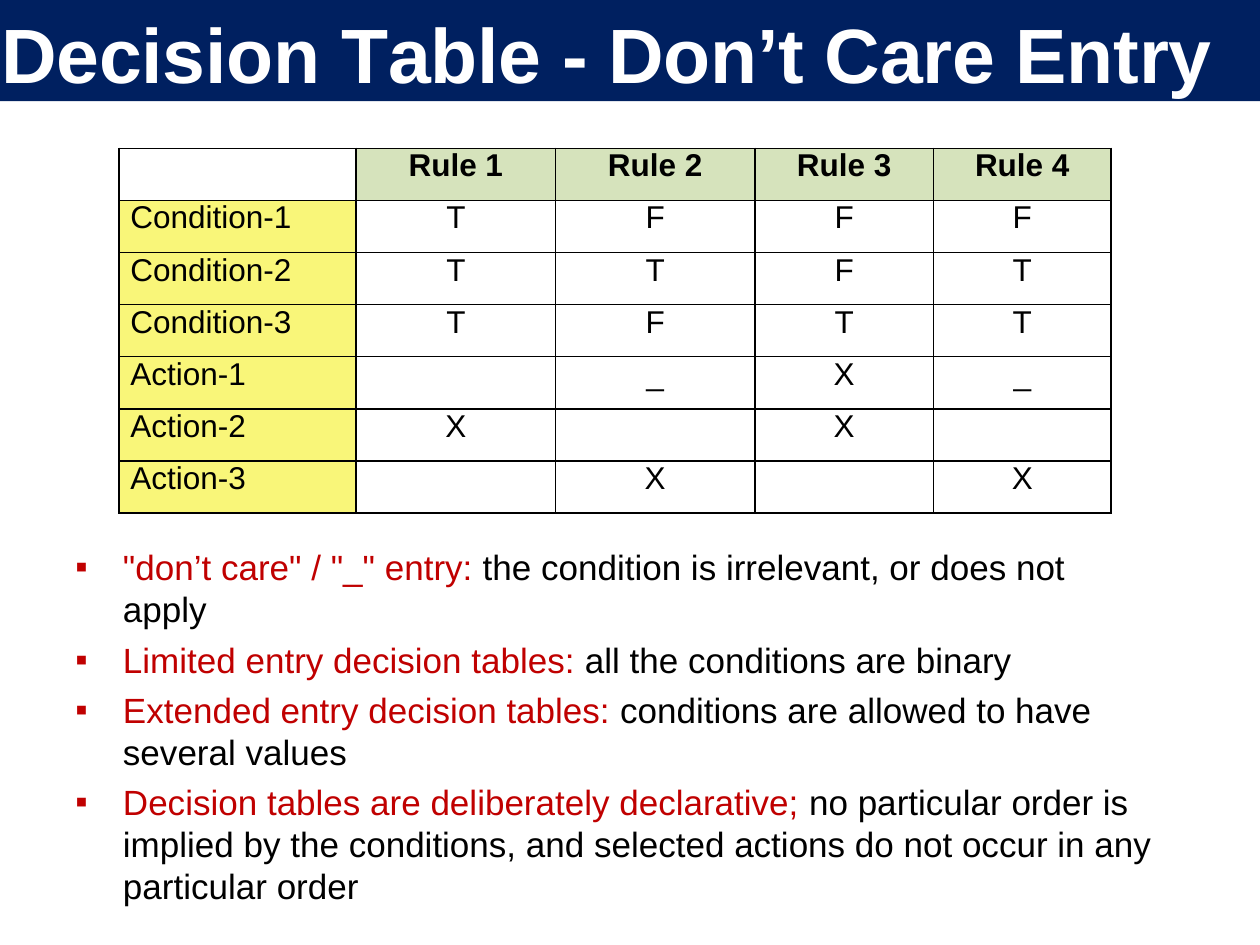
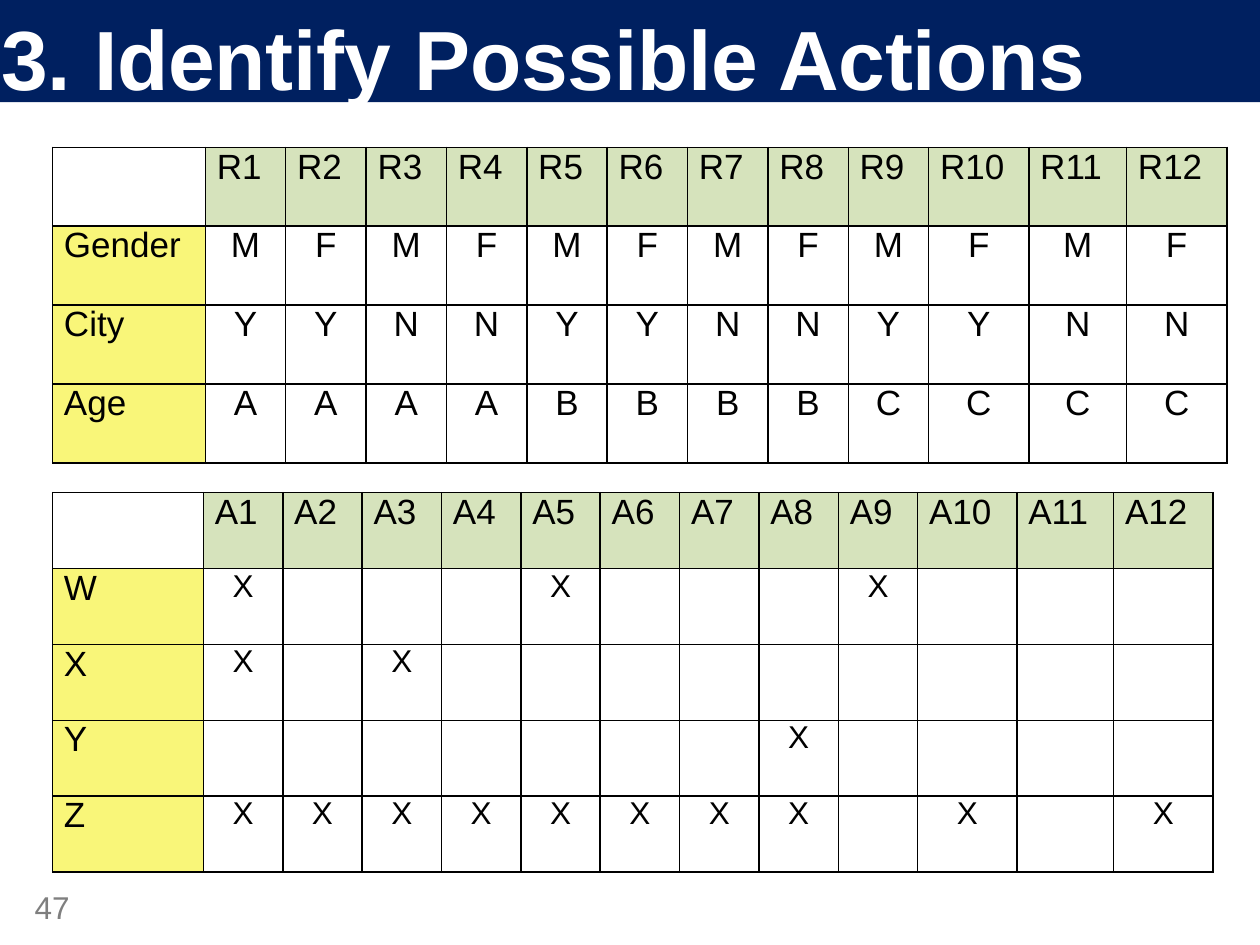
from lxml import etree
from pptx import Presentation
from pptx import util as u
from pptx.dml.color import RGBColor
from pptx.enum import shapes, text
from pptx.oxml import ns

NAVY = RGBColor(0x00, 0x20, 0x60)
WHITE = RGBColor(0xFF, 0xFF, 0xFF)
BLACK = RGBColor(0x00, 0x00, 0x00)
RED = RGBColor(0xC0, 0x00, 0x00)
GREY = RGBColor(0x7F, 0x7F, 0x7F)
GREEN = RGBColor(0xD6, 0xE3, 0xBC)
YELLOW = RGBColor(0xF9, 0xF6, 0x79)
FONT = "Arial"
LABEL_INDENT = u.Cm(0.23)

deck = Presentation()
deck.slide_width, deck.slide_height = u.Cm(25.4), u.Cm(19.05)


def add_titled_slide(title_parts, size, band_height):
    """Add a slide with its title band; each title part is (text, spacing in 1/100 pt)."""
    slide = deck.slides.add_slide(deck.slide_layouts[6])
    band = slide.shapes.add_shape(shapes.MSO_SHAPE.RECTANGLE, 0, 0, deck.slide_width, band_height)
    band.shadow.inherit = False
    band.fill.solid()
    band.fill.fore_color.rgb = NAVY
    band.line.fill.background()
    frame = band.text_frame
    frame.word_wrap = True
    frame.vertical_anchor = text.MSO_ANCHOR.TOP
    frame.margin_left, frame.margin_top = u.Cm(0.03), u.Cm(0.14)
    frame.margin_right = frame.margin_bottom = 0
    title = frame.paragraphs[0]
    title.alignment = text.PP_ALIGN.LEFT
    for words, spacing in title_parts:
        run = title.add_run()
        run.text = words
        run.font.name, run.font.size, run.font.bold = FONT, u.Pt(size), True
        run.font.color.rgb = WHITE
        run.font._element.set("spc", str(spacing))
    return slide


def add_rule_table(slide, left, top, widths, row_height, headers, entries,
                   label_size, mark_size, bold_headers=False):
    """Rules across, one labelled row per entry; each mark is one character."""
    rows = [["", *headers]] + [[label, *marks] for label, marks in entries]
    table = slide.shapes.add_table(len(rows), len(widths), left, top,
                                   u.Cm(sum(widths)), row_height * len(rows)).table
    table.first_row = table.horz_banding = False
    for column, width in zip(table.columns, widths):
        column.width = u.Cm(width)
    for r, row in enumerate(rows):
        table.rows[r].height = row_height
        for c, entry in enumerate(row):
            cell = table.cell(r, c)
            cell.margin_left = cell.margin_right = cell.margin_top = cell.margin_bottom = 0
            # Thin black border on every side
            properties = cell._tc.get_or_add_tcPr()
            for side in ("a:lnL", "a:lnR", "a:lnT", "a:lnB"):
                line = etree.SubElement(properties, ns.qn(side), w=str(u.Pt(1)))
                solid = etree.SubElement(line, ns.qn("a:solidFill"))
                etree.SubElement(solid, ns.qn("a:srgbClr"), val=str(BLACK))
            # Header row green, label column yellow, the rest clear
            is_header, is_label = r == 0, c == 0
            if is_header != is_label:
                cell.fill.solid()
                cell.fill.fore_color.rgb = GREEN if is_header else YELLOW
            else:
                cell.fill.background()
            # Entry text
            cell.text_frame.text = entry.strip()
            paragraph = cell.text_frame.paragraphs[0]
            if is_label or (is_header and not bold_headers):
                cell.margin_left = LABEL_INDENT
            else:
                paragraph.alignment = text.PP_ALIGN.CENTER
            font = paragraph.runs[0].font if paragraph.runs else paragraph.font
            font.name = FONT
            font.size = u.Pt(label_size if is_header or is_label else mark_size)
            font.bold = bold_headers and is_header
            font.color.rgb = BLACK


# Slide 1: don't care entries
dont_care = add_titled_slide([("Decision ", -20), ("T", -480), ("able - Don’t Care Entry", -20)],
                             44, u.Cm(2.04))
add_rule_table(
    dont_care, u.Cm(2.4), u.Cm(2.99), [4.78, 4.02, 4.02, 3.6, 3.58], u.Cm(1.05),
    [f"Rule {n}" for n in range(1, 5)],
    [("Condition-1", "TFFF"), ("Condition-2", "TTFT"), ("Condition-3", "TFTT"),
     ("Action-1", " _X_"), ("Action-2", "X X "), ("Action-3", " X X")],
    18, 18, bold_headers=True)

# Definitions: red term, black explanation
definitions = [
    ("\"don’t care\" / \"_\" entry: ", "the condition is irrelevant, or does not apply"),
    ("Limited entry decision tables: ", "all the conditions are binary"),
    ("Extended entry decision tables: ", "conditions are allowed to have several values"),
    ("Decision tables are deliberately declarative; ",
     "no particular order is implied by the conditions, and selected actions "
     "do not occur in any particular order"),
]
notes = dont_care.shapes.add_textbox(u.Cm(1.5), u.Cm(11), u.Cm(21.84), u.Cm(6.53)).text_frame
notes.word_wrap = True
notes.margin_left = notes.margin_right = notes.margin_top = notes.margin_bottom = 0
for i, definition in enumerate(definitions):
    paragraph = notes.add_paragraph() if i else notes.paragraphs[0]
    properties = paragraph._p.get_or_add_pPr()
    properties.set("marL", str(u.Cm(0.98)))
    properties.set("indent", str(-u.Cm(0.96)))
    etree.SubElement(properties, ns.qn("a:buFont"), typeface=FONT)
    etree.SubElement(properties, ns.qn("a:buChar"), char="▪")
    paragraph.line_spacing = u.Pt(24)
    if i:
        paragraph.space_before = u.Pt(4.8)
    for words, colour in zip(definition, (RED, BLACK)):
        run = paragraph.add_run()
        run.text = words
        run.font.name, run.font.size = FONT, u.Pt(20)
        run.font.color.rgb = colour

# Slide 2: rules above, matching actions below
actions = add_titled_slide([("3. Identify Possible Actions", -10)], 48, u.Cm(2.06))
add_rule_table(
    actions, u.Cm(1.06), u.Cm(2.97), [3.08] + [1.62] * 9 + [2.02, 1.97, 2.02], u.Cm(1.59),
    [f"R{n}" for n in range(1, 13)],
    [("Gender", "MF" * 6), ("City", "YYNN" * 3), ("Age", "AAAABBBBCCCC")],
    20, 20)
add_rule_table(
    actions, u.Cm(1.06), u.Cm(9.93), [3.04] + [1.6] * 9 + [2, 1.95, 2], u.Cm(1.53),
    [f"A{n}" for n in range(1, 13)],
    [("W", "X   X   X   "), ("X", "X X         "), ("Y", "       X    "), ("Z", "XXXXXXXX X X")],
    20, 18)

# Page number
page = actions.shapes.add_textbox(u.Cm(0.64), u.Cm(17.98), u.Cm(0.95), u.Cm(0.8)).text_frame
page.margin_left, page.margin_right, page.margin_top, page.margin_bottom = u.Cm(0.06), 0, 0, 0
page.text = "47"
number = page.paragraphs[0]
number.line_spacing = u.Pt(19.2)
number.runs[0].font.name, number.runs[0].font.size = FONT, u.Pt(18)
number.runs[0].font.color.rgb = GREY

deck.save("out.pptx")
